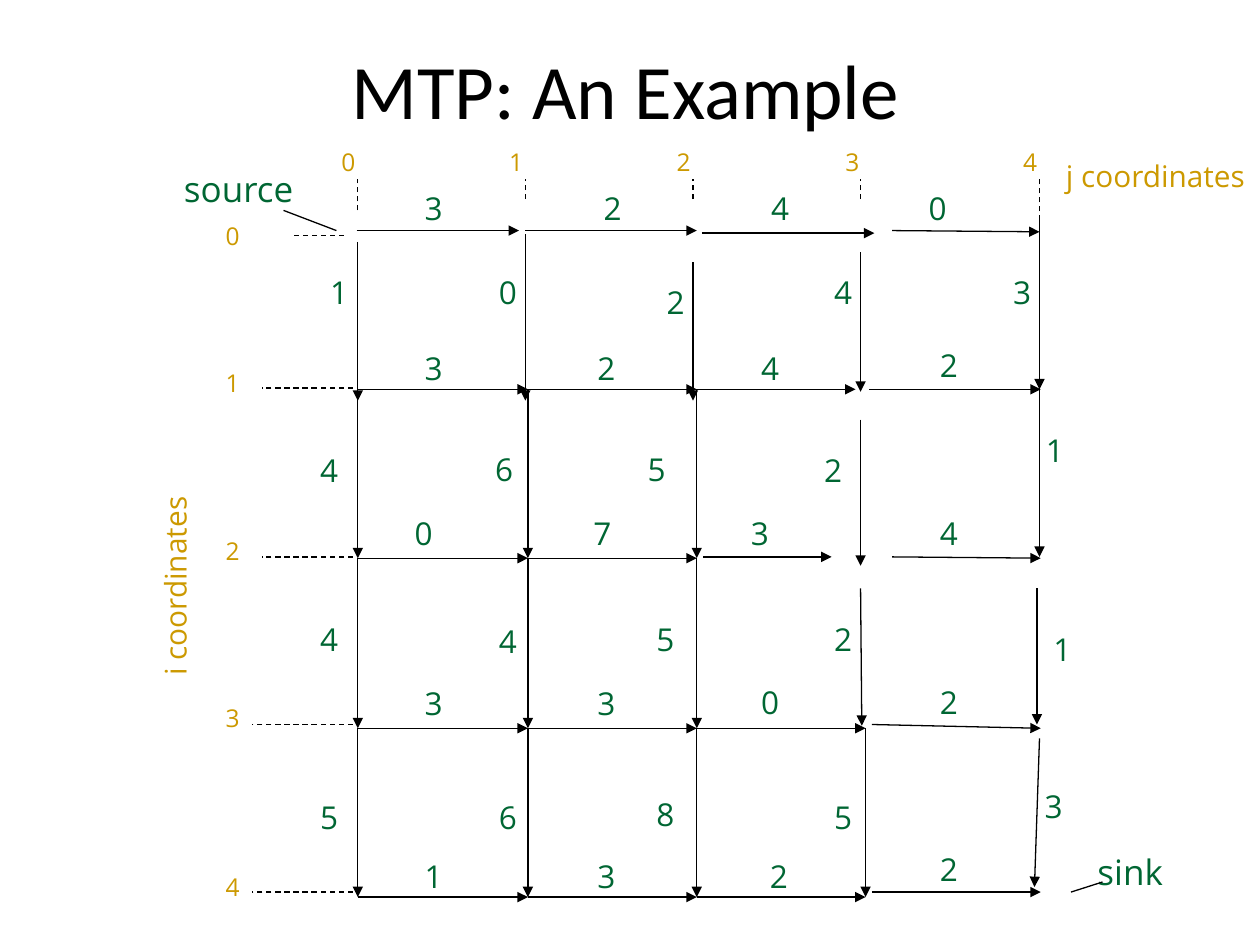
from lxml import etree
from pptx import Presentation
from pptx.dml.color import RGBColor
from pptx.enum.dml import MSO_LINE
from pptx.enum.shapes import MSO_CONNECTOR
from pptx.enum.text import MSO_ANCHOR, PP_ALIGN
from pptx.oxml.ns import qn
from pptx.util import Cm, Pt

STRAIGHT = MSO_CONNECTOR.STRAIGHT
DASH = MSO_LINE.DASH
TOP, MIDDLE = MSO_ANCHOR.TOP, MSO_ANCHOR.MIDDLE
CENTER = PP_ALIGN.CENTER

COLORS = {"ink": "000000", "weight": "006633", "axis": "CC9900"}
CM_PER_INCH = 2.54

TITLE = "MTP: An Example"

# weight, label left and top, start x and y, end x and y, in inches
ROW_EDGES = [
    [("3", 3.33, 1.5, 2.83, 1.83, 4.12, 1.83),
     ("2", 4.75, 1.5, 4.17, 1.83, 5.53, 1.83),
     ("4", 6.08, 1.5, 5.57, 1.85, 6.94, 1.85),
     ("0", 7.33, 1.5, 7.08, 1.83, 8.25, 1.84)],
    [("3", 3.33, 2.77, 2.84, 3.09, 4.19, 3.09),
     ("2", 4.7, 2.77, 4.19, 3.09, 5.53, 3.09),
     ("4", 6, 2.77, 5.53, 3.09, 6.79, 3.09),
     ("2", 7.42, 2.75, 6.9, 3.09, 8.26, 3.09)],
    [("0", 3.25, 4.08, 2.84, 4.43, 4.19, 4.43),
     ("7", 4.67, 4.08, 4.19, 4.43, 5.53, 4.43),
     ("3", 5.92, 4.08, 5.58, 4.42, 6.6, 4.42),
     ("4", 7.42, 4.08, 7.08, 4.42, 8.26, 4.43)],
    [("3", 3.33, 5.43, 2.84, 5.78, 4.19, 5.78),
     ("3", 4.7, 5.43, 4.19, 5.78, 5.53, 5.78),
     ("0", 6, 5.42, 5.53, 5.78, 6.87, 5.78),
     ("2", 7.42, 5.42, 6.92, 5.75, 8.26, 5.78)],
    [("1", 3.33, 6.8, 2.84, 7.12, 4.19, 7.12),
     ("3", 4.7, 6.8, 4.19, 7.12, 5.53, 7.12),
     ("2", 6.07, 6.8, 5.53, 7.12, 6.87, 7.12),
     ("2", 7.42, 6.75, 6.92, 7.08, 8.26, 7.08)],
]
COLUMN_EDGES = [
    [("1", 2.58, 2.17, 2.84, 1.92, 2.84, 3.18),
     ("4", 2.5, 3.58, 2.84, 3.09, 2.84, 4.43),
     ("4", 2.5, 4.92, 2.84, 4.43, 2.84, 5.78),
     ("5", 2.5, 6.33, 2.84, 5.78, 2.84, 7.12)],
    [("0", 3.92, 2.17, 4.17, 1.86, 4.17, 3.18),
     ("6", 3.89, 3.57, 4.19, 3.09, 4.19, 4.43),
     ("4", 3.92, 4.94, 4.19, 4.43, 4.19, 5.78),
     ("6", 3.92, 6.33, 4.19, 5.78, 4.19, 7.12)],
    [("2", 5.25, 2.25, 5.5, 2.08, 5.5, 3.18),
     ("5", 5.1, 3.57, 5.53, 3.09, 5.53, 4.43),
     ("5", 5.17, 4.92, 5.53, 4.43, 5.53, 5.78),
     ("8", 5.17, 6.31, 5.53, 5.78, 5.53, 7.12)],
    [("4", 6.58, 2.17, 6.83, 2, 6.83, 3.11),
     ("2", 6.5, 3.58, 6.83, 3.33, 6.83, 4.49),
     ("2", 6.58, 4.92, 6.83, 4.67, 6.84, 5.76),
     ("5", 6.58, 6.33, 6.87, 5.78, 6.87, 7.12)],
    [("3", 8, 2.17, 8.25, 1.75, 8.25, 3.09),
     ("1", 8.26, 3.42, 8.25, 3.08, 8.25, 4.42),
     ("1", 8.32, 5, 8.23, 4.67, 8.23, 5.75),
     ("3", 8.25, 6.25, 8.25, 5.86, 8.21, 7.04)],
]
J_TICKS = [(2.67, 2.84, 1.67), (4, 4.17, 1.58), (5.33, 5.5, 1.58),
           (6.67, 6.83, 1.58), (8.08, 8.25, 1.75)]
I_TICKS = [(1.75, 1.87, 2.32, 2.73), (2.92, 3.08, 2.08, 2.8),
           (4.25, 4.42, 2.08, 2.8), (5.58, 5.75, 2, 2.8),
           (6.92, 7.08, 2, 2.8)]
CAPTIONS = [
    ("j coordinates", (8.42, 1.25, 1.67, 0.67), 17, "axis", 0),
    ("i coordinates", (0.53, 4.3, 1.82, 0.39), 17, "axis", 270),
    ("source", (1.42, 1.33, 1.11, 0.43), 20, "weight", 0),
    ("sink", (8.67, 6.75, 0.71, 0.75), 20, "weight", 0),
]
POINTERS = [(2.25, 1.67, 2.67, 1.83), (8.5, 7.08, 8.75, 7)]


def cm(inches):
    return Cm(inches * CM_PER_INCH)


def set_attrs(obj, values):
    for name, value in values.items():
        setattr(obj, name, value)


def set_text(sp, text, font, size, color, frame):
    tf = sp.text_frame
    set_attrs(tf, {"word_wrap": True, **frame})
    p = tf.paragraphs[0]
    r = p.add_run()
    r.text = text
    set_attrs(r.font, {"name": font, "size": Pt(size)})
    r.font.color.rgb = RGBColor.from_string(COLORS[color])
    return p


def add_label(s, text, box, size, color, rotation=0):
    sp = s.shapes.add_textbox(*map(cm, box))
    sp.rotation = rotation
    set_text(sp, text, "Open Sans", size, color, {
        "margin_left": cm(0.04), "margin_right": cm(0.04),
        "margin_top": 0, "margin_bottom": 0, "vertical_anchor": TOP})


def add_line(s, ends, dash=None, arrow=False):
    c = s.shapes.add_connector(STRAIGHT, *map(cm, ends))
    set_attrs(c.line, {"width": Pt(0.75), "dash_style": dash})
    c.line.color.rgb = RGBColor.from_string(COLORS["ink"])
    if arrow:
        ln = c.line._get_or_add_ln()
        etree.SubElement(ln, qn("a:tailEnd"), type="triangle")
    etree.SubElement(c._element.spPr, qn("a:effectLst"))


def main():
    prs = Presentation()
    set_attrs(prs, {"slide_width": cm(10), "slide_height": cm(7.5)})
    s = prs.slides.add_slide(prs.slide_layouts[5])

    title = s.shapes.title
    set_attrs(title, dict(zip(("left", "top", "width", "height"),
                              map(cm, (0.57, 0.12, 8.83, 1.17)))))
    p = set_text(title, TITLE, "Calibri", 44, "ink", {
        "margin_left": cm(0.1), "margin_right": cm(0.14),
        "margin_top": cm(0.05), "margin_bottom": cm(0.05),
        "vertical_anchor": MIDDLE})
    p.alignment = CENTER

    for edges in ROW_EDGES + COLUMN_EDGES:
        for weight, left, top, *ends in edges:
            add_line(s, ends, arrow=True)
            add_label(s, weight, (left, top, 0.32, 0.36), 18, "weight")

    for j, (left, x, bottom) in enumerate(J_TICKS):
        add_line(s, (x, bottom, x, 1.42), dash=DASH)
        add_label(s, str(j), (left, 1.17, 0.25, 0.35), 14, "axis")
    for i, (top, y, x1, x2) in enumerate(I_TICKS):
        add_line(s, (x2, y, x1, y), dash=DASH)
        add_label(s, str(i), (1.75, top, 0.25, 0.35), 14, "axis")

    for caption in CAPTIONS:
        add_label(s, *caption)
    for ends in POINTERS:
        add_line(s, ends)

    prs.save("out.pptx")


if __name__ == "__main__":
    main()
